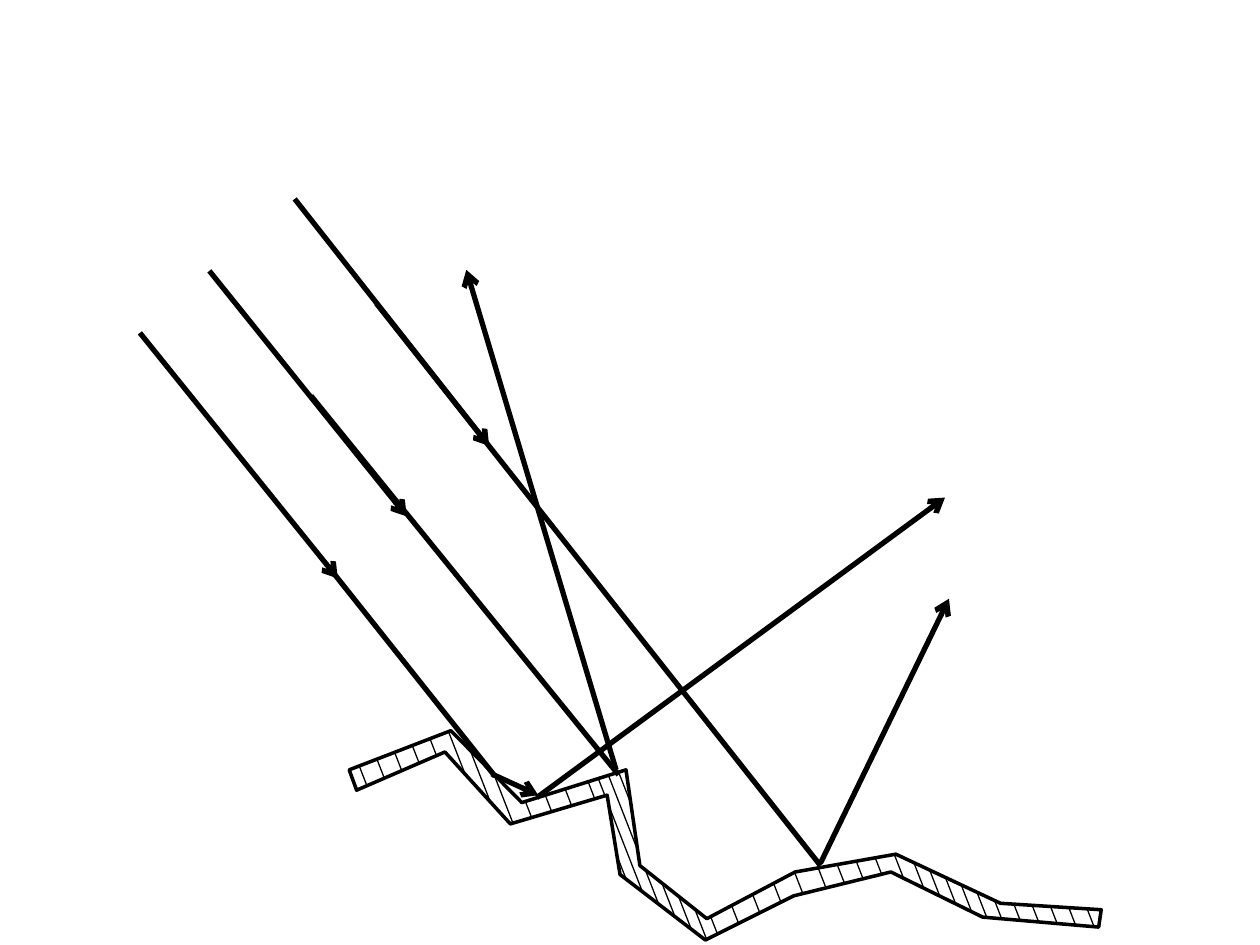
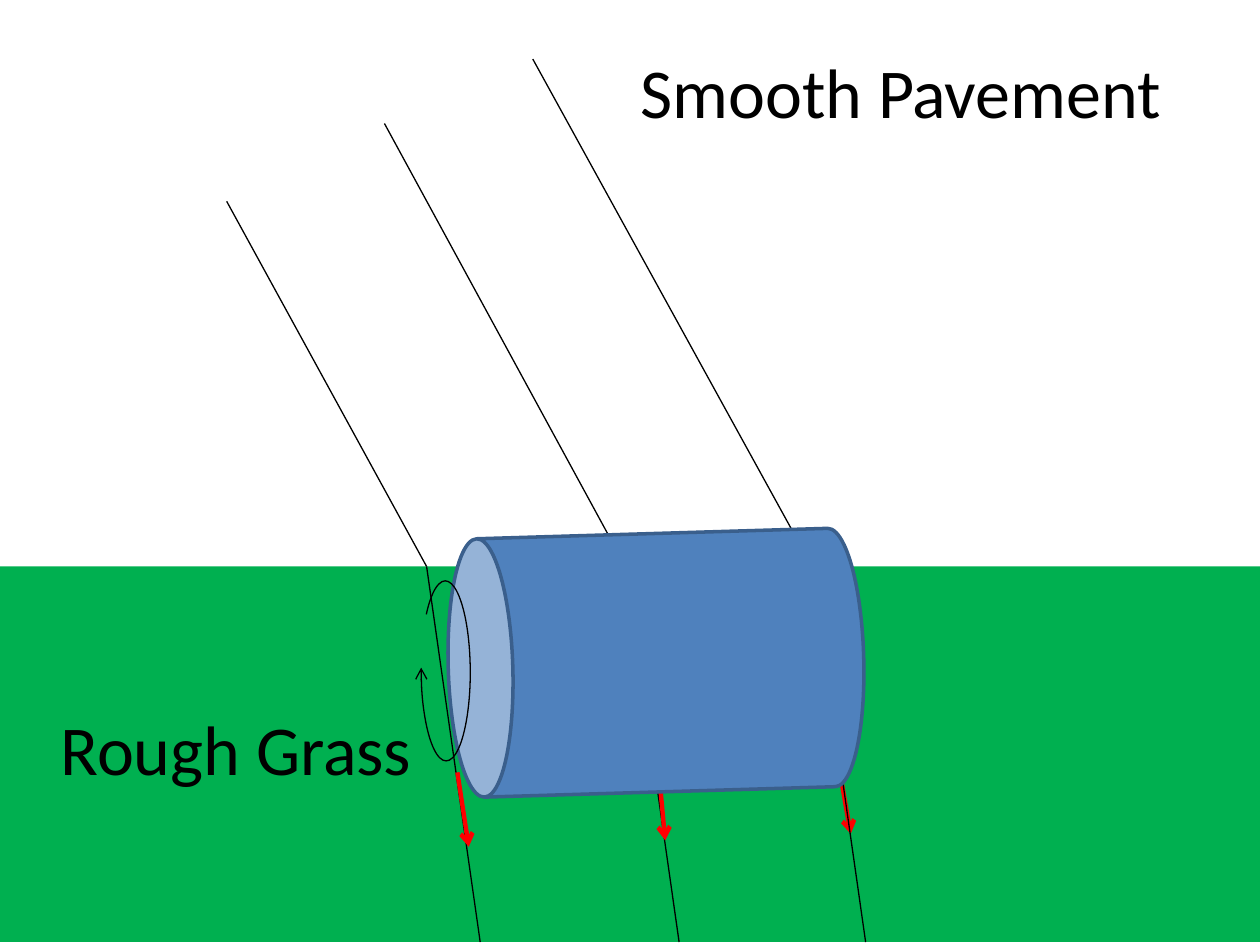
import lxml.etree
import pptx
import pptx.dml.color
import pptx.enum.shapes
import pptx.enum.text
import pptx.oxml.ns
import pptx.util

Cm = pptx.util.Cm
Pt = pptx.util.Pt
SHAPE = pptx.enum.shapes.MSO_SHAPE
qn = pptx.oxml.ns.qn

BLACK = pptx.dml.color.RGBColor(0x00, 0x00, 0x00)
WHITE = pptx.dml.color.RGBColor(0xFF, 0xFF, 0xFF)
GRASS_GREEN = pptx.dml.color.RGBColor(0x00, 0xB0, 0x50)
ROLLER_BLUE = pptx.dml.color.RGBColor(0x4F, 0x81, 0xBD)
ROLLER_EDGE = pptx.dml.color.RGBColor(0x3A, 0x5F, 0x8C)
RED = pptx.dml.color.RGBColor(0xFF, 0x00, 0x00)
FONT = "Calibri"

# Line widths in points
THIN = 0.75
OUTLINE = 2
PUSH = 2.5
RAY = 3

# Slide size in centimetres
SLIDE_WIDTH = 25.4
SLIDE_HEIGHT = 19.05


def style_line(shape, colour, width, arrow=False):
    """Set colour and width in points, with an optional arrowhead at the end."""
    shape.line.color.rgb = colour
    shape.line.width = Pt(width)
    if arrow:
        outline = shape._element.spPr.find(qn("a:ln"))
        lxml.etree.SubElement(outline, qn("a:tailEnd"), type="arrow")


def add_line(slide, start, end, colour, width, arrow=False):
    """Draw a straight line between two (x, y) points in centimetres."""
    line = slide.shapes.add_connector(
        pptx.enum.shapes.MSO_CONNECTOR.STRAIGHT,
        Cm(start[0]), Cm(start[1]), Cm(end[0]), Cm(end[1]),
    )
    style_line(line, colour, width, arrow)
    lxml.etree.SubElement(line._element.spPr, qn("a:effectLst"))


presentation = pptx.Presentation()
presentation.slide_width = Cm(SLIDE_WIDTH)
presentation.slide_height = Cm(SLIDE_HEIGHT)
blank_layout = presentation.slide_layouts[6]

# Slide 1: rays scattered by a rough surface
slide = presentation.slides.add_slide(blank_layout)

# Both edges run from left to right
upper_edge = [
    (7.04, 15.52), (9.09, 14.73), (10.52, 16.18), (12.62, 15.52), (12.9, 17.45),
    (14.25, 18.52), (16.03, 17.58), (18.06, 17.22), (20.17, 18.21), (22.2, 18.34),
]
lower_edge = [
    (7.19, 15.93), (8.97, 15.16), (10.29, 16.61), (12.24, 16.03), (12.5, 17.63),
    (14.22, 18.95), (16, 18.06), (17.96, 17.58), (19.81, 18.49), (22.15, 18.69),
]
outline_points = upper_edge + lower_edge[::-1]

corners = [(Cm(x), Cm(y)) for x, y in outline_points]
builder = slide.shapes.build_freeform(*corners[0])
builder.add_line_segments(corners[1:], close=True)
surface = builder.convert_to_shape()
surface.shadow.inherit = False
surface.fill.solid()
surface.fill.fore_color.rgb = WHITE
style_line(surface, BLACK, OUTLINE)

# Every hatch lies on a slanted line x = offset + HATCH_SLANT * y.
# Each band of hatches has a first offset, a step and a count.
HATCH_SLANT = 0.39
hatch_bands = [
    (1.22, 0.41, 5), (3.29, 0.29, 3), (4.29, 0.45, 3), (5.71, 0.23, 6),
    (7.12, 0.51, 5), (9.67, 0.41, 5), (11.64, 0.26, 5), (12.97, 0.36, 6),
]
hatch_offsets = [
    first + step * index for first, step, count in hatch_bands for index in range(count)
]
outline_sides = list(zip(outline_points, outline_points[1:] + outline_points[:1]))

for offset in hatch_offsets:
    crossings = []
    for (x1, y1), (x2, y2) in outline_sides:
        # Signed distance of each corner from the slanted line
        distance1 = x1 - HATCH_SLANT * y1 - offset
        distance2 = x2 - HATCH_SLANT * y2 - offset
        if (distance1 < 0) != (distance2 < 0):
            y = y1 + (y2 - y1) * distance1 / (distance1 - distance2)
            crossings.append((offset + HATCH_SLANT * y, y))
    # From top to bottom, the line enters and leaves the surface in turn
    crossings.sort(key=lambda point: point[1])
    for entry, leaving in zip(crossings[::2], crossings[1::2]):
        add_line(slide, entry, leaving, BLACK, THIN)

# Each ray is an arrow and an overlapping line that carries on to the surface
incoming_rays = [
    {"source": (2.82, 6.71), "arrow_tip": (6.81, 11.66),
     "resume": (6.65, 11.46), "hit": (9.98, 15.65)},
    {"source": (4.22, 5.46), "arrow_tip": (8.2, 10.41),
     "resume": (6.27, 7.98), "hit": (12.47, 15.62)},
    {"source": (5.94, 4.01), "arrow_tip": (9.86, 8.99),
     "resume": (7.59, 6.12), "hit": (16.54, 17.45)},
]
for ray in incoming_rays:
    add_line(slide, ray["source"], ray["arrow_tip"], BLACK, RAY, arrow=True)
    add_line(slide, ray["resume"], ray["hit"], BLACK, RAY)

# The left ray bounces twice, the other two once
reflections = [
    ((9.91, 15.6), (10.85, 16.03)),
    ((10.82, 16.08), (19.05, 10.03)),
    ((12.42, 15.52), (9.4, 5.44)),
    ((16.54, 17.4), (19.13, 12.07)),
]
for bounce, tip in reflections:
    add_line(slide, bounce, tip, BLACK, RAY, arrow=True)

# Slide 2: a roller turning as it crosses from pavement to grass
slide = presentation.slides.add_slide(blank_layout)

GRASS_TOP = 11.42
GRASS_HEIGHT = 7.57
grass = slide.shapes.add_shape(
    SHAPE.RECTANGLE, 0, Cm(GRASS_TOP), Cm(SLIDE_WIDTH), Cm(GRASS_HEIGHT)
)
grass.shadow.inherit = False
grass.fill.solid()
grass.fill.fore_color.rgb = GRASS_GREEN
grass.line.fill.background()

left_push = ((9.22, 15.57), (9.45, 17.07))
middle_push = ((13.28, 15.54), (13.41, 16.94))
right_push = ((16.94, 15.62), (17.15, 16.81))

add_line(slide, *right_push, RED, PUSH, arrow=True)

# Each path bends at the edge of the grass, by the same amount
GRASS_SHIFT = 1.08
path_starts_and_bends = [
    ((4.57, 4.06), 8.6), ((7.75, 2.49), 12.61), ((10.74, 1.19), 16.37),
]
for path_start, bend_x in path_starts_and_bends:
    bend = (bend_x, GRASS_TOP)
    path_end = (bend_x + GRASS_SHIFT, GRASS_TOP + GRASS_HEIGHT)
    add_line(slide, path_start, bend, BLACK, THIN)
    add_line(slide, bend, path_end, BLACK, THIN)

add_line(slide, *middle_push, RED, PUSH, arrow=True)

roller = slide.shapes.add_shape(SHAPE.CAN, Cm(10.62), Cm(9.17), Cm(5.21), Cm(8.38))
roller.rotation = 268.3
roller.shadow.inherit = False
roller.fill.solid()
roller.fill.fore_color.rgb = ROLLER_BLUE
style_line(roller, ROLLER_EDGE, OUTLINE)

# Arc angles are stored in 60000ths of a degree, adjustments in 100000ths
ARC_DEGREE = 0.6
spin = slide.shapes.add_shape(SHAPE.ARC, Cm(8.49), Cm(11.71), Cm(0.99), Cm(3.63))
spin.adjustments[0] = 251.36 * ARC_DEGREE
spin.adjustments[1] = 187.91 * ARC_DEGREE
spin.rotation = 359.7
spin.shadow.inherit = False
spin.fill.background()
style_line(spin, BLACK, THIN, arrow=True)

add_line(slide, *left_push, RED, PUSH, arrow=True)

ground_labels = [
    ("Rough Grass", 0.97, 14.1, 7.67),
    ("Smooth Pavement", 12.66, 0.85, 11.13),
]
for text, left, top, width in ground_labels:
    label = slide.shapes.add_textbox(Cm(left), Cm(top), Cm(width), Cm(1.96))
    label.text_frame.word_wrap = False
    label.text_frame.auto_size = pptx.enum.text.MSO_AUTO_SIZE.SHAPE_TO_FIT_TEXT
    run = label.text_frame.paragraphs[0].add_run()
    run.text = text
    run.font.name = FONT
    run.font.size = Pt(40)
    run.font.color.rgb = BLACK

presentation.save("out.pptx")
